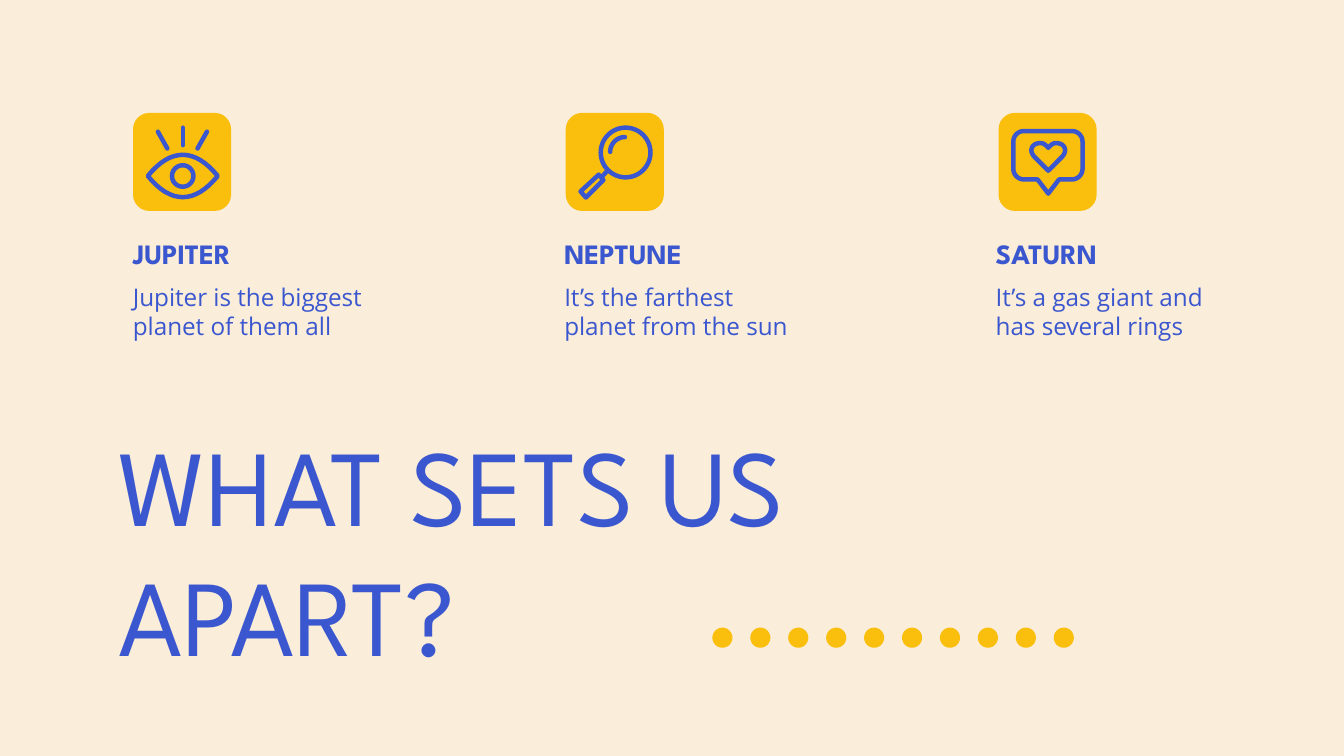
"""Build the slide that compares three planets under icons."""
from dataclasses import dataclass

from lxml import etree
from pptx import Presentation
from pptx import util as u
from pptx.dml import color
from pptx.enum import shapes, text
from pptx.oxml import ns


@dataclass(frozen=True)
class Theme:
    """Colours, fonts and sizes of the slide."""
    cream: str = "FAEDD9"
    yellow: str = "FABE0C"
    blue: str = "3B57CF"
    display: str = "League Spartan"
    plain: str = "Open Sans"
    title: float = 58
    heading: float = 15
    body: float = 13
    stroke: float = 2.4


THEME = Theme()
TILE_TOP, TILE_SIZE = 0.84, 0.73
DOT_COUNT, FIRST_DOT, LAST_DOT = 10, 5.3, 7.84
PLANETS = [
    ("JUPITER", "Jupiter is the biggest planet of them all"),
    ("NEPTUNE", "It’s the farthest planet from the sun"),
    ("SATURN", "It’s a gas giant and has several rings"),
]
EYE = [(11, 47), (28, 26, 46, 26, 63, 47), (46, 68, 28, 68, 11, 47)]
RAYS = [(37, 11, 37, 24), (18.5, 14, 25.5, 26.5), (55, 14, 48, 26.5)]
SHINE = [(33, 29), (33, 23, 38, 18, 44, 18)]
GRIP = [(24.5, 46), (28, 50), (15, 63), (11, 58.5)]
BUBBLE = [
    (45, 49.5), (54.5, 49.5), (59, 49.5, 62.5, 46, 62.5, 41.5),
    (62.5, 21.5), (62.5, 17, 59, 13.5, 54.5, 13.5),
    (19, 13.5), (14.5, 13.5, 11, 17, 11, 21.5),
    (11, 41.5), (11, 46, 14.5, 49.5, 19, 49.5), (29, 49.5), (37, 60),
]
HEART = [
    (37, 43), (47, 33), (52, 28, 49, 22.5, 43, 22.5),
    (40, 22.5, 39, 24, 37, 26), (35, 24, 34, 22.5, 31, 22.5),
    (25, 22.5, 22, 28, 27, 33),
]


def rgb(value):
    """Turn a hex string into a colour."""
    return color.RGBColor.from_string(value)


def write(s, words, *, size, font, bold=False):
    """Put formatted words in a shape."""
    tf = s.text_frame
    tf.word_wrap = True
    tf.auto_size = text.MSO_AUTO_SIZE.NONE
    tf.vertical_anchor = text.MSO_ANCHOR.TOP
    tf.margin_left = tf.margin_right = u.Inches(0.1)
    tf.margin_top = tf.margin_bottom = u.Inches(0.1)
    p = tf.paragraphs[0]
    p.alignment = text.PP_ALIGN.LEFT
    p.line_spacing = 1.0
    p.space_before = u.Pt(0)
    r = p.add_run()
    r.text = words
    r.font.size, r.font.name, r.font.bold = u.Pt(size), font, bold
    r.font.color.rgb = rgb(THEME.blue)


def add_filled(s, kind, x, y, size):
    """Add a yellow preset shape of equal width and height."""
    sp = s.shapes.add_shape(kind, *map(u.Inches, (x, y, size, size)))
    sp.shadow.inherit = False
    sp.fill.solid()
    sp.fill.fore_color.rgb = rgb(THEME.yellow)
    sp.line.fill.background()


def outline(sp):
    """Give a shape or connector a blue line with round ends."""
    sp.line.color.rgb = rgb(THEME.blue)
    sp.line.width = u.Pt(THEME.stroke)
    spPr = sp.element.spPr
    ln = spPr.find(ns.qn("a:ln"))
    ln.set("cap", "rnd")
    etree.SubElement(ln, ns.qn("a:round"))
    if spPr.find(ns.qn("a:effectLst")) is None:
        etree.SubElement(spPr, ns.qn("a:effectLst"))


def place(left, x, y):
    """Turn hundredths of an inch within a tile into a slide position."""
    return u.Inches(left + x / 100), u.Inches(TILE_TOP + y / 100)


def add_ring(s, left, x, y, radius):
    """Add an unfilled circle around a point of the tile."""
    size = u.Inches(radius / 50)
    sp = s.shapes.add_shape(
        shapes.MSO_SHAPE.OVAL, *place(left, x - radius, y - radius), size, size)
    sp.shadow.inherit = False
    sp.fill.background()
    outline(sp)


def add_line(s, left, x1, y1, x2, y2):
    """Add a straight stroke within the tile."""
    outline(s.shapes.add_connector(
        shapes.MSO_CONNECTOR.STRAIGHT, *place(left, x1, y1), *place(left, x2, y2)))


def flatten(segments, steps=16):
    """List the points along lines and cubic curves."""
    points = [segments[0]]
    for seg in segments[1:]:
        if len(seg) == 2:
            points.append(seg)
            continue
        start = points[-1]
        for t in (i / steps for i in range(1, steps + 1)):
            weights = ((1 - t) ** 3, 3 * t * (1 - t) ** 2, 3 * t * t * (1 - t), t ** 3)
            points.append(tuple(
                sum(w * c for w, c in zip(weights, (start[k], *seg[k::2])))
                for k in (0, 1)))
    return points


def add_stroke(s, left, segments, close=True):
    """Add an unfilled outline made of lines and curves."""
    points = [place(left, *point) for point in flatten(segments)]
    builder = s.shapes.build_freeform(*points[0])
    builder.add_line_segments(points[1:], close=close)
    sp = builder.convert_to_shape()
    sp.shadow.inherit = False
    sp.fill.background()
    outline(sp)


def draw_eye(s, left):
    """Draw an eye with three rays."""
    add_stroke(s, left, EYE)
    add_ring(s, left, 37, 47, 8)
    for ray in RAYS:
        add_line(s, left, *ray)


def draw_magnifier(s, left):
    """Draw a magnifying glass."""
    add_ring(s, left, 44.5, 29.5, 18.5)
    add_stroke(s, left, SHINE, close=False)
    add_line(s, left, 31, 43, 26.5, 48)
    add_stroke(s, left, GRIP)


def draw_bubble(s, left):
    """Draw a speech bubble with a heart."""
    add_stroke(s, left, BUBBLE)
    add_stroke(s, left, HEART)


def add_caption(s, left, top, height, words, **style):
    """Add a text box of one column's width."""
    write(s.shapes.add_textbox(*map(u.Inches, (left, top, 1.91, height))), words, **style)


def add_title(s, words):
    """Fill the title placeholder."""
    sp = s.shapes.title
    sp.left, sp.top, sp.width, sp.height = map(u.Inches, (0.78, 3.01, 6.4, 1.99))
    write(sp, words, size=THEME.title, font=THEME.display)


def main():
    """Build and save the slide."""
    prs = Presentation()
    prs.slide_width = u.Inches(10)
    prs.slide_height = prs.slide_width * 9 // 16
    s = prs.slides.add_slide(prs.slide_layouts[5])
    s.background.fill.solid()
    s.background.fill.fore_color.rgb = rgb(THEME.cream)
    add_title(s, "WHAT SETS US APART?")
    icons = (draw_eye, draw_magnifier, draw_bubble)
    for i, ((name, fact), draw_icon) in enumerate(zip(PLANETS, icons)):
        tile_left, text_left = 0.99 + 3.22 * i, 0.89 + 3.21 * i
        add_filled(s, shapes.MSO_SHAPE.ROUNDED_RECTANGLE, tile_left, TILE_TOP, TILE_SIZE)
        draw_icon(s, tile_left)
        add_caption(s, text_left, 1.66, 0.33, name,
                    size=THEME.heading, font=THEME.display, bold=True)
        add_caption(s, text_left, 2, 0.52, fact, size=THEME.body, font=THEME.plain)
    dot_step = (LAST_DOT - FIRST_DOT) / (DOT_COUNT - 1)
    for i in range(DOT_COUNT):
        add_filled(s, shapes.MSO_SHAPE.OVAL, FIRST_DOT + dot_step * i, 4.67, 0.15)
    prs.save("out.pptx")


if __name__ == "__main__":
    main()
